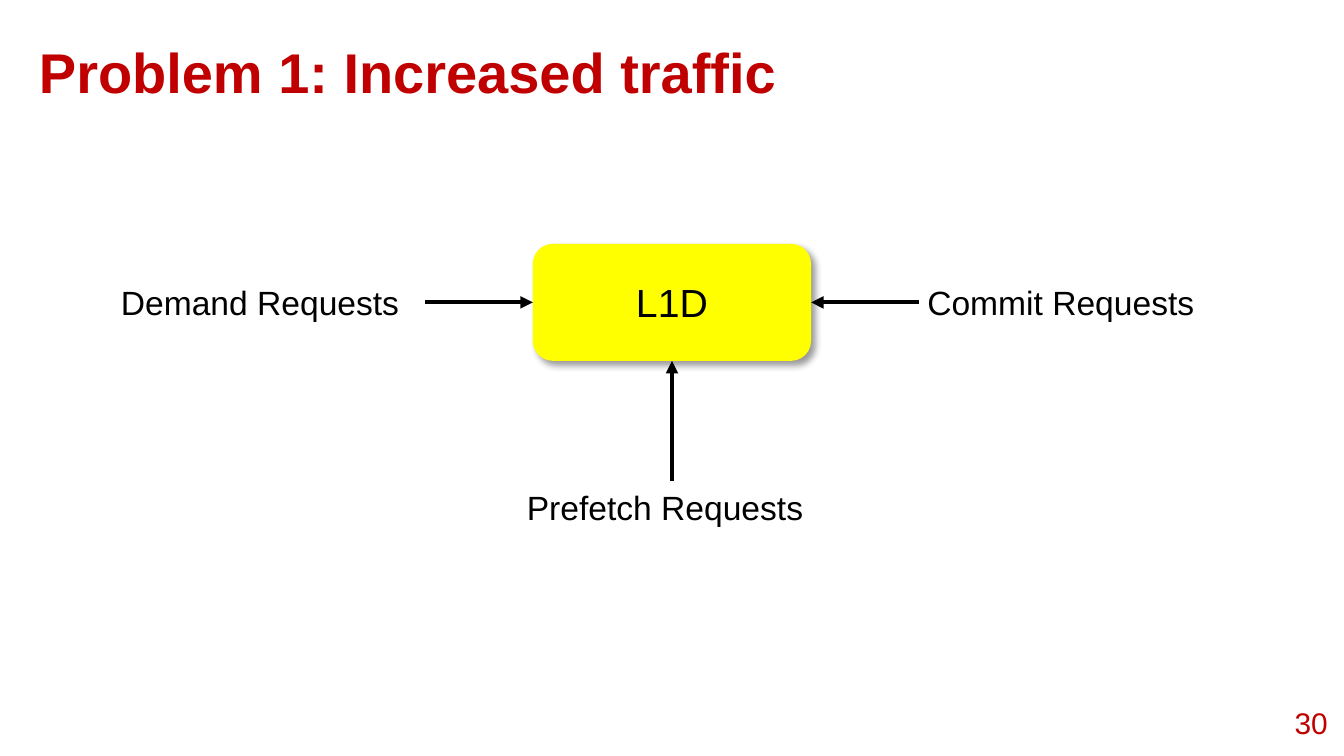
from dataclasses import dataclass

from lxml import etree
from pptx import Presentation
from pptx.dml.color import RGBColor
from pptx.enum.shapes import MSO_CONNECTOR, MSO_SHAPE
from pptx.enum.text import MSO_ANCHOR, MSO_AUTO_SIZE, PP_ALIGN
from pptx.oxml import parse_xml
from pptx.oxml.ns import nsdecls, qn
from pptx.util import Inches, Pt

LEFT, CENTER, RIGHT = PP_ALIGN.LEFT, PP_ALIGN.CENTER, PP_ALIGN.RIGHT
TOP, MIDDLE = MSO_ANCHOR.TOP, MSO_ANCHOR.MIDDLE
ROUND = MSO_SHAPE.ROUNDED_RECTANGLE
STRAIGHT = MSO_CONNECTOR.STRAIGHT
NO_FIT = MSO_AUTO_SIZE.NONE


@dataclass(frozen=True)
class Theme:
    font: str = "Arial"
    red: RGBColor = RGBColor(0xC0, 0x00, 0x00)
    black: RGBColor = RGBColor(0x00, 0x00, 0x00)
    yellow: RGBColor = RGBColor(0xFF, 0xFF, 0x00)
    title: int = 30
    cache: int = 21
    label: int = 18
    page: int = 16
    line: float = 2.25


THEME = Theme()


def write(shape, text, size, color, align=LEFT, anchor=TOP, pad=0.04, bold=False):
    frame = shape.text_frame
    frame.text = text
    frame.word_wrap = True
    frame.auto_size = NO_FIT
    frame.vertical_anchor = anchor
    frame.margin_left = frame.margin_right = Inches(0.07)
    frame.margin_top = frame.margin_bottom = Inches(pad)
    par = frame.paragraphs[0]
    par.alignment = align
    font = par.runs[0].font
    font.name = THEME.font
    font.size = Pt(size)
    font.bold = bold
    font.color.rgb = color


def add_title(slide, text):
    title = slide.shapes.title
    title.left, title.top = Inches(0.22), Inches(0.21)
    title.width, title.height = Inches(8.39), Inches(0.63)
    write(title, text, THEME.title, THEME.red, pad=0.07, bold=True)


def add_page(slide, text):
    box = slide.shapes.add_textbox(
        Inches(9.25), Inches(5.16), Inches(0.7), Inches(0.43))
    write(box, text, THEME.page, THEME.red, RIGHT, MIDDLE, pad=0.07)


def add_label(slide, text, left, top, width):
    box = slide.shapes.add_textbox(
        Inches(left), Inches(top), Inches(width), Inches(0.38))
    write(box, text, THEME.label, THEME.black)


def add_shadow(shape):
    shape.shadow.inherit = False
    effects = shape._element.spPr.find(qn("a:effectLst"))
    effects.append(parse_xml(
        f'<a:outerShdw {nsdecls("a")} blurRad="{Pt(4)}" dist="{Pt(3)}" '
        f'dir="{45 * 60000}" algn="tl" rotWithShape="0">'
        f'<a:srgbClr val="{THEME.black}"><a:alpha val="40000"/></a:srgbClr>'
        '</a:outerShdw>'))


def add_cache(slide, text, left, top, width, height):
    box = slide.shapes.add_shape(
        ROUND, Inches(left), Inches(top), Inches(width), Inches(height))
    box.adjustments[0] = 0.17
    box.fill.solid()
    box.fill.fore_color.rgb = THEME.yellow
    box.line.fill.background()
    add_shadow(box)
    write(box, text, THEME.cache, THEME.black, CENTER, MIDDLE)


def add_arrow(slide, start, end):
    points = [Inches(value) for value in (*start, *end)]
    arrow = slide.shapes.add_connector(STRAIGHT, *points)
    arrow.line.color.rgb = THEME.black
    arrow.line.width = Pt(THEME.line)
    props = arrow._element.spPr
    etree.SubElement(props.find(qn("a:ln")), qn("a:tailEnd"), type="triangle")
    etree.SubElement(props, qn("a:effectLst"))


def main():
    deck = Presentation()
    deck.slide_width = Inches(10)
    deck.slide_height = deck.slide_width * 9 // 16
    slide = deck.slides.add_slide(deck.slide_layouts[5])
    add_title(slide, "Problem 1: Increased traffic")
    add_page(slide, "30")

    mid_x, mid_y, width, height = 5, 2.25, 2.07, 0.87
    left, right = mid_x - width / 2, mid_x + width / 2
    top, base = mid_y - height / 2, mid_y + height / 2
    gap = 0.8
    add_cache(slide, "L1D", left, top, width, height)

    add_arrow(slide, (left - gap, mid_y), (left, mid_y))
    add_arrow(slide, (mid_x, 3.58), (mid_x, base))
    add_arrow(slide, (right + gap, mid_y), (right, mid_y))

    add_label(slide, "Demand Requests", 0.83, 2.06, 2.34)
    add_label(slide, "Prefetch Requests", 3.85, 3.58, 2.29)
    add_label(slide, "Commit Requests", 6.83, 2.06, 2.34)
    deck.save("out.pptx")


if __name__ == "__main__":
    main()
